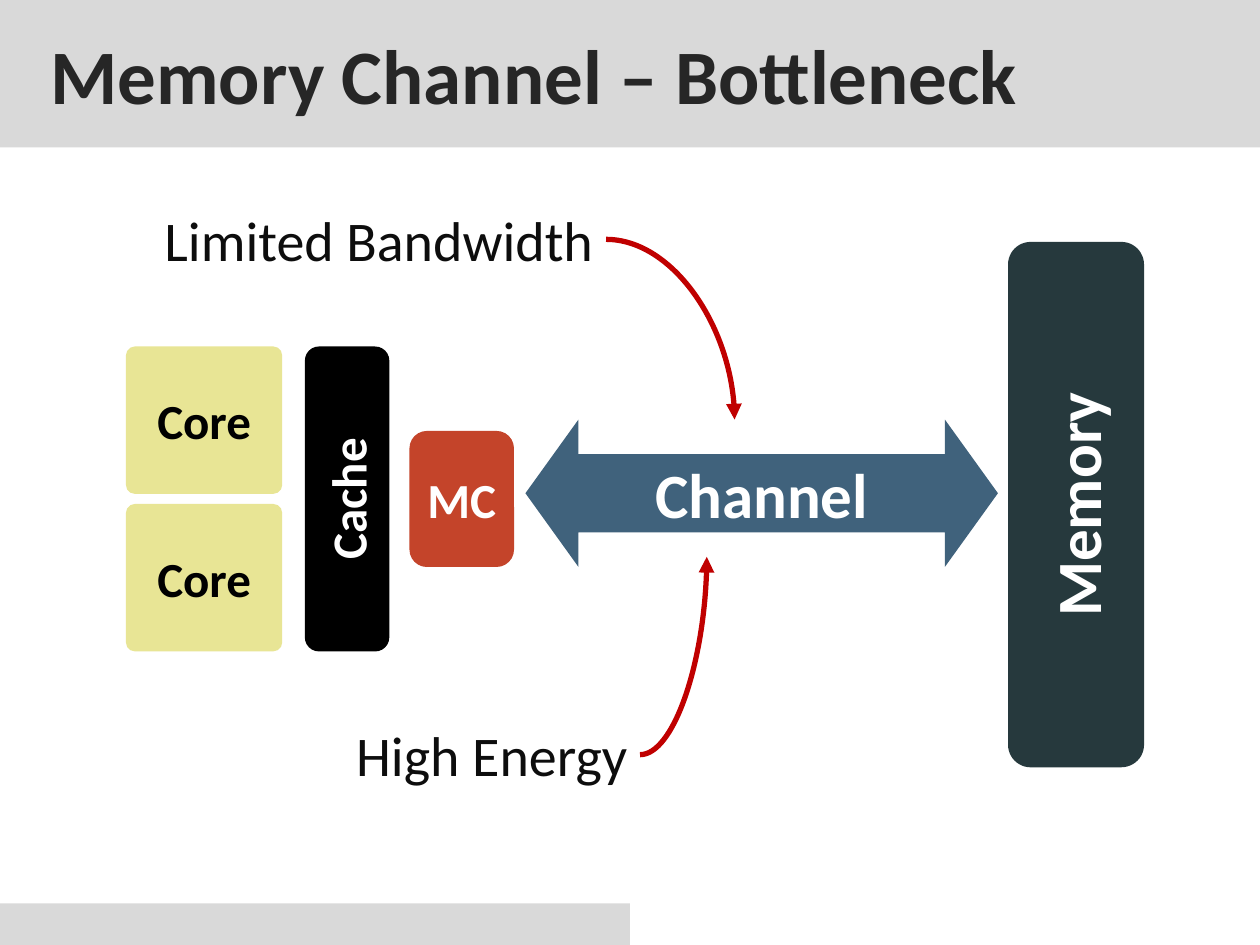
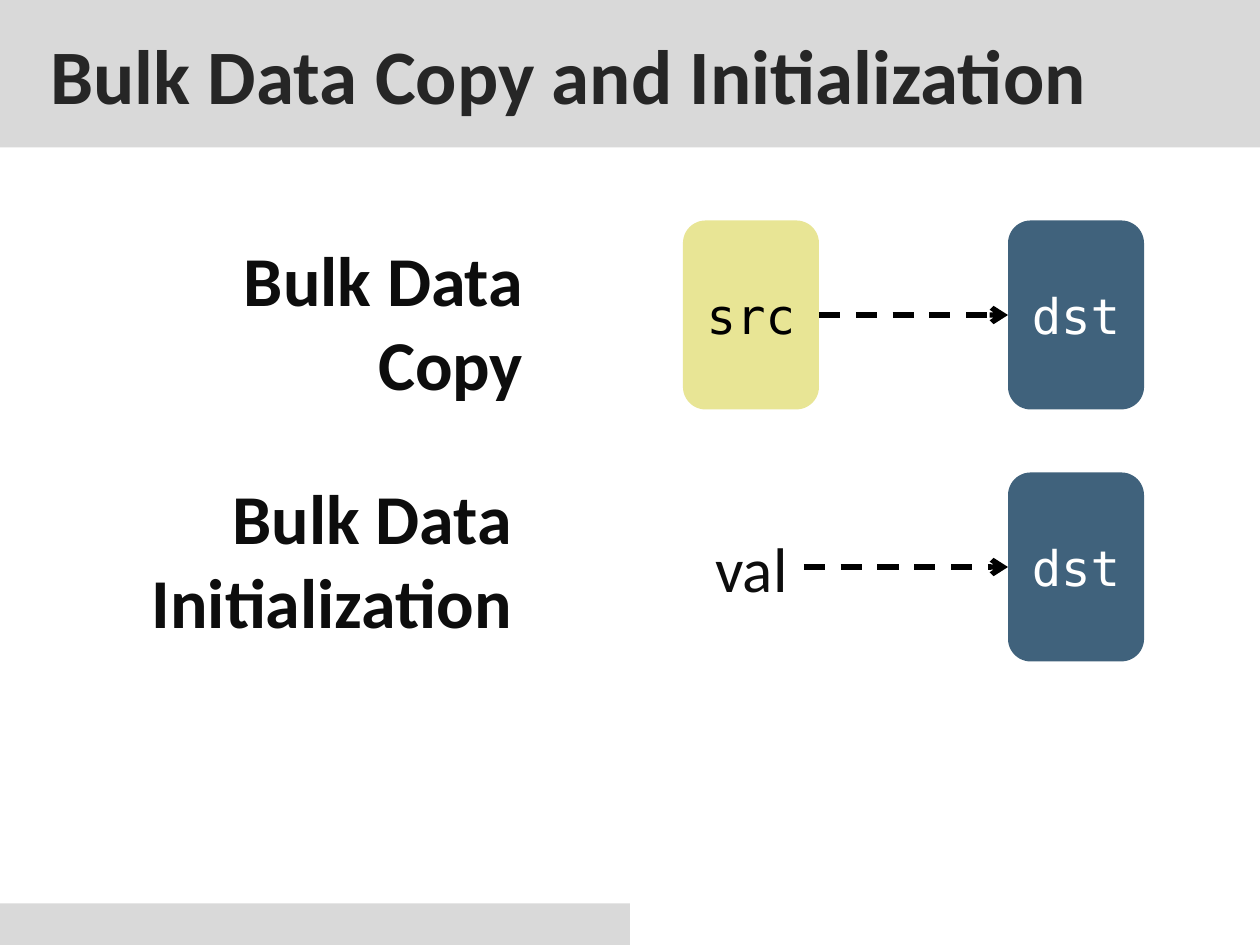
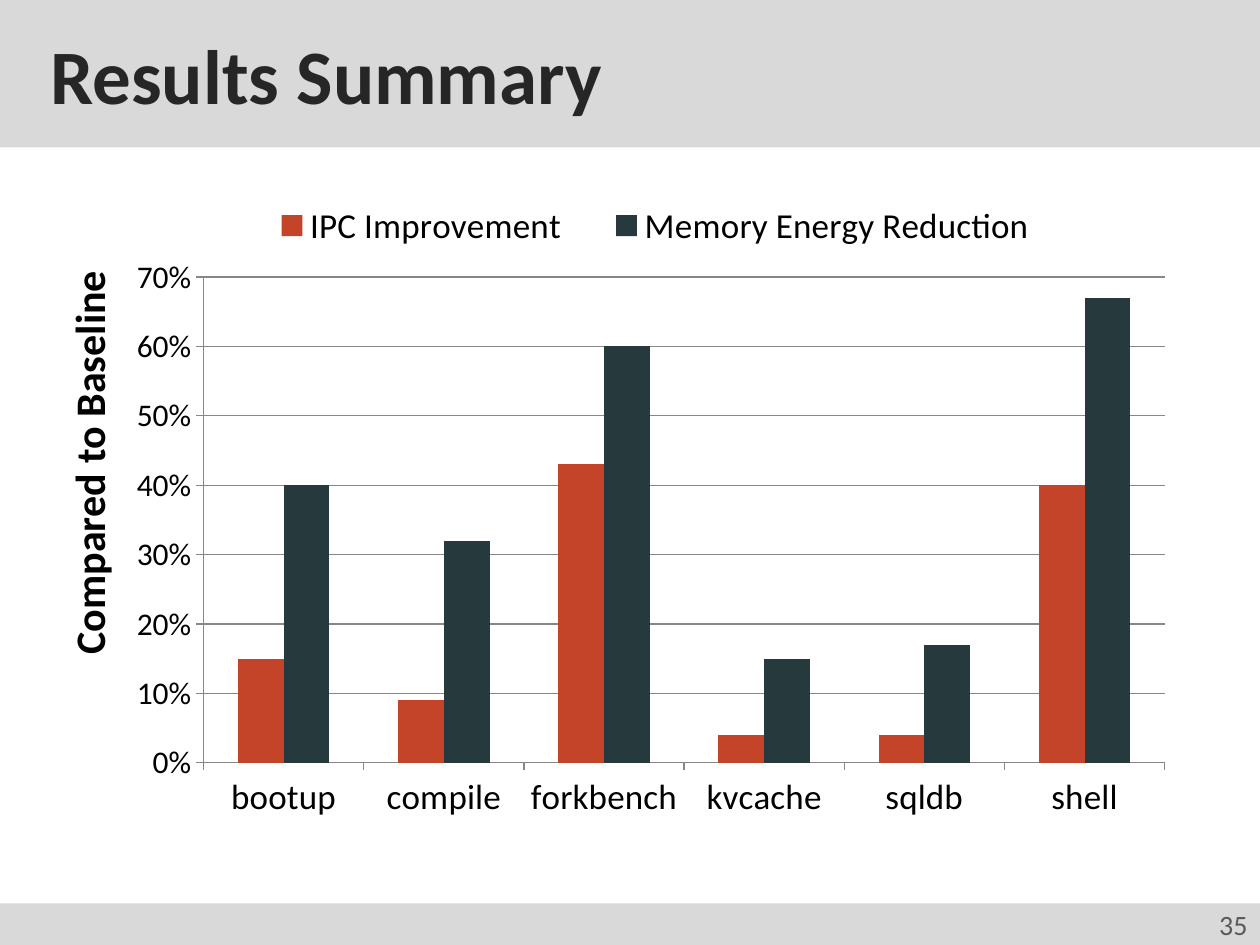
"""Build three slides on the memory channel, bulk data copy and results."""
from lxml import etree
from pptx import Presentation
from pptx.chart.data import CategoryChartData
from pptx.dml.color import RGBColor
from pptx.enum.chart import XL_CHART_TYPE, XL_LEGEND_POSITION, XL_TICK_MARK
from pptx.enum.dml import MSO_LINE
from pptx.enum.shapes import MSO_CONNECTOR, MSO_SHAPE
from pptx.enum.text import MSO_ANCHOR, PP_ALIGN
from pptx.oxml.ns import qn
from pptx.util import Inches, Pt

RECT, ROUND = MSO_SHAPE.RECTANGLE, MSO_SHAPE.ROUNDED_RECTANGLE
ARROW = MSO_SHAPE.LEFT_RIGHT_ARROW
CURVE, STRAIGHT = MSO_CONNECTOR.CURVE, MSO_CONNECTOR.STRAIGHT
LEFT, CENTER, RIGHT = PP_ALIGN.LEFT, PP_ALIGN.CENTER, PP_ALIGN.RIGHT
MIDDLE, DASH = MSO_ANCHOR.MIDDLE, MSO_LINE.DASH
COLUMN, OUT = XL_CHART_TYPE.COLUMN_CLUSTERED, XL_TICK_MARK.OUTSIDE
SIDE = XL_LEGEND_POSITION.RIGHT

SANS, MONO = "Calibri", "DejaVu Sans Mono"
COLORS = {
    "band": "D9D9D9", "title": "262626", "text": "0D0D0D", "page": "595959",
    "black": "000000", "white": "FFFFFF", "cream": "E8E595", "rust": "C4442A",
    "pine": "26393D", "blue": "40627C", "red": "C00000", "grid": "878787",
}


def color(name):
    return RGBColor.from_string(COLORS[name])


def style(font, size, ink="black", bold=False, face=SANS):
    font.size, font.bold, font.name = Pt(size), bold, face
    font.color.rgb = color(ink)


def place(part, x, y, w=None, h=None, inner=False):
    """Set the manual layout of a chart part, as shares of the chart."""
    for old in part.findall(qn("c:layout")):
        part.remove(old)
    layout = etree.Element(qn("c:layout"))
    manual = etree.SubElement(layout, qn("c:manualLayout"))
    pairs = [("layoutTarget", "inner")] if inner else []
    pairs += [("xMode", "edge"), ("yMode", "edge"), ("x", x), ("y", y)]
    pairs += [("w", w), ("h", h)] if w else []
    for tag, value in pairs:
        etree.SubElement(manual, qn("c:" + tag)).set("val", str(value))
    over = part.find(qn("c:overlay"))
    if over is None:
        part.insert(0, layout)
    else:
        over.addprevious(layout)


class Deck:
    """Hold the presentation, its style and the current slide."""

    def __init__(self):
        self.prs = Presentation()
        self.prs.slide_width, self.prs.slide_height = Inches(10), Inches(7.5)

    def start(self, title):
        self.slide = self.prs.slides.add_slide(self.prs.slide_layouts[6])
        self.shape((0, 7.17, 5, 0.33), "band")
        band = self.shape((0, 0, 10, 1.17), "band", title, 44, "title", align=LEFT)
        band.text_frame.margin_left = Inches(0.4)

    def letter(self, shape, text, size, ink, bold, face, align):
        frame = shape.text_frame
        frame.word_wrap = True
        para = frame.paragraphs[0]
        para.text, para.alignment = text, align
        style(para.font, size, ink, bold, face)

    def shape(self, box, fill, text="", size=28, ink="white", bold=True,
              face=SANS, align=CENTER, kind=RECT, adjust=(), turn=False):
        shape = self.slide.shapes.add_shape(kind, *map(Inches, box))
        shape.shadow.inherit = False
        shape.fill.solid()
        shape.fill.fore_color.rgb = color(fill)
        shape.line.fill.background()
        for i, value in enumerate(adjust):
            shape.adjustments[i] = value
        if text:
            self.letter(shape, text, size, ink, bold, face, align)
            shape.text_frame.vertical_anchor = MIDDLE
        if turn:
            shape.text_frame._txBody.bodyPr.set("vert", "vert270")
        return shape

    def block(self, box, fill, text, **rest):
        return self.shape(box, fill, text, kind=ROUND, **rest)

    def label(self, box, text, size, bold=False, align=RIGHT, wrap=True):
        shape = self.slide.shapes.add_textbox(*map(Inches, box))
        self.letter(shape, text, size, "text", bold, SANS, align)
        shape.text_frame.word_wrap = wrap

    def arrow(self, start, end, ink, head, kind=STRAIGHT, dash=None):
        line = self.slide.shapes.add_connector(kind, *map(Inches, start + end))
        line.line.width = Pt(3)
        line.line.color.rgb = color(ink)
        if dash:
            line.line.dash_style = dash
        props = line._element.spPr
        if kind == CURVE:
            props.find(qn("a:prstGeom")).set("prst", "curvedConnector2")
        etree.SubElement(props.find(qn("a:ln")), qn("a:tailEnd")).set("type", head)
        etree.SubElement(props, qn("a:effectLst"))

    def chart(self, box, cats, series, title):
        data = CategoryChartData(number_format="0%")
        data.categories = cats
        for name, _, values in series:
            data.add_series(name, values)
        frame = self.slide.shapes.add_chart(COLUMN, *map(Inches, box), data)
        chart = frame.chart
        chart.has_title = False
        style(chart.font, 18)
        plot = chart.plots[0]
        plot.gap_width, plot.overlap, plot.vary_by_categories = 150, 0, False
        for item, (_, fill, _) in zip(plot.series, series):
            item.format.fill.solid()
            item.format.fill.fore_color.rgb = color(fill)
        across, up = chart.category_axis, chart.value_axis
        style(across.tick_labels.font, 20)
        up.minimum_scale, up.maximum_scale, up.major_unit = 0, 0.7, 0.1
        up.tick_labels.number_format = "0%"
        up.tick_labels.number_format_is_linked = False
        up.has_major_gridlines = True
        for axis in (across, up):
            axis.major_tick_mark = OUT
        for part in (across, up, up.major_gridlines):
            part.format.line.width = Pt(0.75)
            part.format.line.color.rgb = color("grid")
        text = up.axis_title.text_frame
        text.text = title
        style(text.paragraphs[0].runs[0].font, 24, bold=True)
        turn = text._txBody.bodyPr
        turn.set("rot", "-5400000")
        turn.set("vert", "horz")
        chart.has_legend = True
        key = chart.legend
        key.position, key.include_in_layout = SIDE, False
        style(key.font, 20)
        place(chart._chartSpace.chart.plotArea, 0.14, 0.16, 0.83, 0.71, True)
        place(up.axis_title._element, 0.01, 0.14)
        place(key._element, 0.17, 0.04, 0.72, 0.09)


def channel(deck):
    deck.start("Memory Channel – Bottleneck")
    for top in (2.75, 4):
        deck.block((1, top, 1.24, 1.17), "cream", "Core", ink="black", adjust=[0.06])
    deck.block((2.42, 2.75, 0.67, 2.42), "black", "Cache", turn=True)
    deck.block((3.25, 3.42, 0.83, 1.08), "rust", "MC")
    deck.block((8, 1.92, 1.08, 4.17), "pine", "Memory", size=36, turn=True)
    deck.shape((4.17, 3.33, 3.75, 1.17), "blue", "Channel", 36,
               kind=ARROW, adjust=[0.53, 0.36])
    deck.label((0.67, 1.58, 4.14, 0.64), "Limited Bandwidth", 32)
    deck.label((1.62, 5.67, 3.46, 0.64), "High Energy", 32)
    for start, end in (((4.81, 1.9), (5.83, 3.33)), ((5.08, 5.99), (5.61, 4.42))):
        deck.arrow(start, end, "red", "triangle", CURVE)


def bulk(deck):
    deck.start("Bulk Data Copy and Initialization")
    deck.label((0.58, 1.83, 3.67, 1.45), "Bulk Data Copy", 40, True)
    deck.label((0.33, 3.72, 3.83, 1.45), "Bulk Data Initialization", 40, True)
    deck.block((5.42, 1.75, 1.08, 1.5), "cream", "src", ink="black",
               bold=False, face=MONO)
    for top, left in ((1.75, 6.5), (3.75, 6.38)):
        deck.block((8, top, 1.08, 1.5), "blue", "dst", bold=False, face=MONO)
        mid = top + 0.75
        deck.arrow((left, mid), (8, mid), "black", "arrow", dash=DASH)
    deck.label((5.58, 4.15, 0.8, 0.71), "val", 36, align=LEFT, wrap=False)


def results(deck):
    deck.start("Results Summary")
    deck.shape((5, 7.17, 5, 0.33), "band", "35", 16, "page", False, align=RIGHT)
    cats = ["bootup", "compile", "forkbench", "kvcache", "sqldb", "shell"]
    series = [
        ("IPC Improvement", "rust", (0.15, 0.09, 0.43, 0.04, 0.04, 0.4)),
        ("Memory Energy Reduction", "pine", (0.4, 0.32, 0.6, 0.15, 0.17, 0.67)),
    ]
    deck.chart((0.33, 1.33, 9.19, 5.43), cats, series, "Compared to Baseline")


def main():
    deck = Deck()
    for build in (channel, bulk, results):
        build(deck)
    deck.prs.save("out.pptx")


if __name__ == "__main__":
    main()
